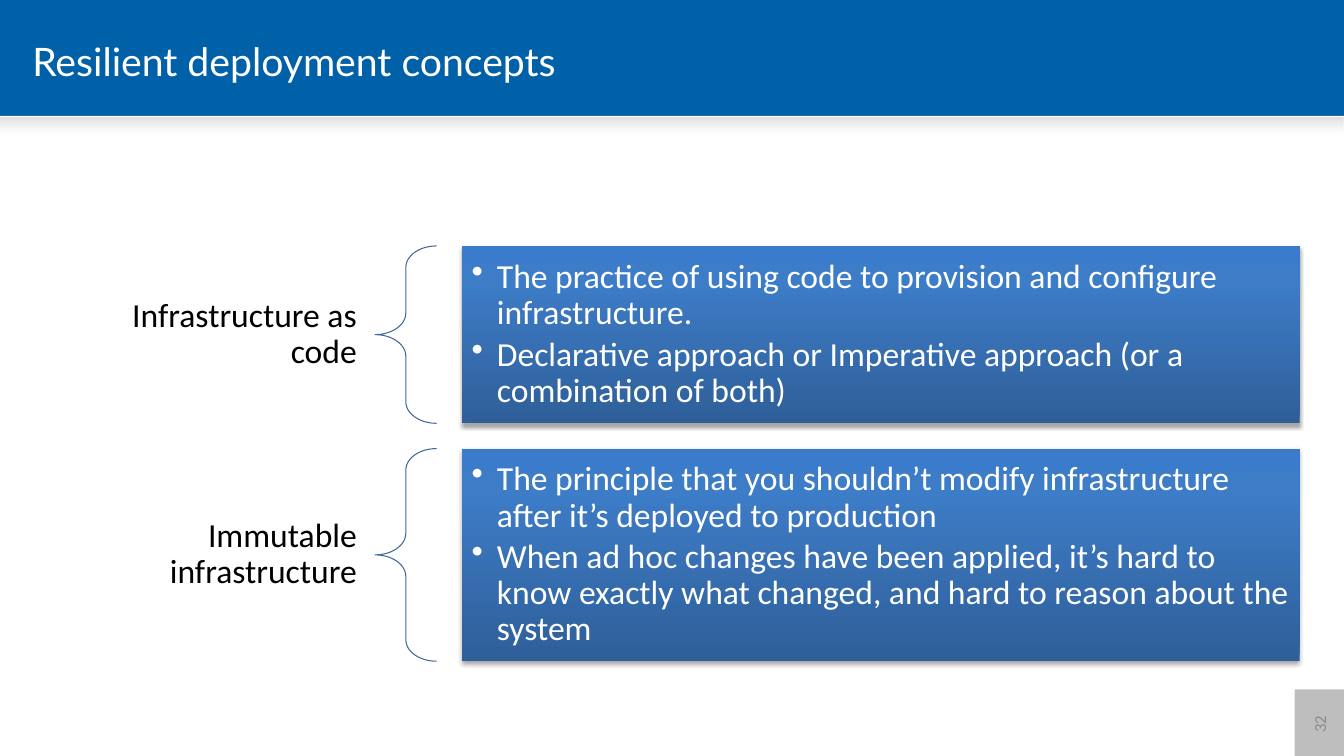
import pptx
import pptx.util
import pptx.oxml
import pptx.oxml.ns
from pptx.dml.color import RGBColor
from pptx.enum.shapes import MSO_SHAPE
from pptx.enum.text import MSO_ANCHOR, PP_ALIGN
from pptx.util import Inches, Pt

BLUE = RGBColor(0x00, 0x60, 0xA8)
WHITE = RGBColor(0xFF, 0xFF, 0xFF)
BLACK = RGBColor(0x00, 0x00, 0x00)
GRAY = RGBColor(0x7F, 0x7F, 0x7F)
NUMBER_GRAY = RGBColor(0x8C, 0x8C, 0x8C)
BRACE_BLUE = RGBColor(0x3F, 0x67, 0x97)
# Gradient stops: position, colour, opacity (percent)
HEADER_SHADE = [(0, BLACK, 13), (48, RGBColor(0xE3, 0xE3, 0xE3), 0), (66, WHITE, 0)]
PANEL_SHADE = [(0, RGBColor(0x2F, 0x5F, 0x99), 100),
               (80, RGBColor(0x3D, 0x7C, 0xC7), 100),
               (100, RGBColor(0x3A, 0x7C, 0xCB), 100)]
NAMESPACE = pptx.oxml.ns.nsdecls("a")

BODY_FORMAT = {"name": "Calibri", "size": Pt(24)}
CONCEPTS = [
    ("Infrastructure as code", 1.76, [
        "The practice of using code to provision and configure infrastructure.",
        "Declarative approach or Imperative approach (or a combination of both)"]),
    ("Immutable infrastructure", 2.11, [
        "The principle that you shouldn’t modify infrastructure after it’s deployed to production",
        "When ad hoc changes have been applied, it’s hard to know exactly what changed, "
        "and hard to reason about the system"]),
]


def set_format(target, values):
    for name, value in values.items():
        setattr(target, name, value)


def set_font(paragraph, color, values):
    set_format(paragraph.font, values)
    paragraph.font.color.rgb = color


def set_frame(text_frame, horizontal, vertical):
    set_format(text_frame, {
        "word_wrap": True, "vertical_anchor": MSO_ANCHOR.MIDDLE,
        "margin_left": Inches(horizontal), "margin_right": Inches(horizontal),
        "margin_top": Inches(vertical), "margin_bottom": Inches(vertical)})


def add_plain_shape(slide, kind, left, top, width, height, color=None):
    shape = slide.shapes.add_shape(
        kind, Inches(left), Inches(top), Inches(width), Inches(height))
    shape.shadow.inherit = False
    shape.line.fill.background()
    if color is None:
        shape.fill.background()
    else:
        shape.fill.solid()
        shape.fill.fore_color.rgb = color
    return shape


def set_gradient(shape, stops, angle):
    stop_xml = "".join(
        f'<a:gs pos="{position * 1000}"><a:srgbClr val="{color}">'
        f'<a:alpha val="{opacity * 1000}"/></a:srgbClr></a:gs>'
        for position, color, opacity in stops)
    gradient = pptx.oxml.parse_xml(
        f'<a:gradFill {NAMESPACE} rotWithShape="1"><a:gsLst>{stop_xml}</a:gsLst>'
        f'<a:lin ang="{angle * 60000}" scaled="0"/></a:gradFill>')
    properties = shape.element.spPr
    properties.replace(properties.find(pptx.oxml.ns.qn("a:noFill")), gradient)


def add_shadow(shape):
    effects = shape.element.spPr.find(pptx.oxml.ns.qn("a:effectLst"))
    effects.append(pptx.oxml.parse_xml(
        f'<a:outerShdw {NAMESPACE} blurRad="{Pt(3.1)}" dist="{Pt(1.8)}" dir="5400000" '
        'rotWithShape="0"><a:srgbClr val="000000"><a:alpha val="35000"/></a:srgbClr>'
        '</a:outerShdw>'))


def add_background(slide, width, height):
    slide.background.fill.solid()
    slide.background.fill.fore_color.rgb = BLUE
    top = 1.15
    add_plain_shape(slide, MSO_SHAPE.RECTANGLE, 0, top, width, height - top, WHITE)
    shade = add_plain_shape(slide, MSO_SHAPE.RECTANGLE, 0, top + 0.02, width, 0.42)
    set_gradient(shade, HEADER_SHADE, 90)


def add_page_number(slide, left, top, width, height):
    box = add_plain_shape(slide, MSO_SHAPE.RECTANGLE, left, top, width, height, GRAY)
    box.rotation = 270
    color = box.element.spPr.find(".//" + pptx.oxml.ns.qn("a:srgbClr"))
    color.append(pptx.oxml.parse_xml(f'<a:alpha {NAMESPACE} val="50000"/>'))
    set_frame(box.text_frame, 0.1, 0.05)
    paragraph = box.text_frame.paragraphs[0]
    paragraph.text = "32"
    paragraph.alignment = PP_ALIGN.CENTER
    set_font(paragraph, NUMBER_GRAY, {"name": "Calibri", "size": Pt(12)})


def add_title(slide, left, top, width, height):
    title = slide.shapes.title
    set_format(title, {"left": Inches(left), "top": Inches(top),
                       "width": Inches(width), "height": Inches(height)})
    set_frame(title.text_frame, 0.1, 0.05)
    paragraph = title.text_frame.paragraphs[0]
    paragraph.text = "Resilient deployment concepts"
    paragraph.alignment = PP_ALIGN.LEFT
    set_font(paragraph, WHITE, {"name": "Lato", "size": Pt(28)})


def add_concept(slide, label, bullets, left, top, height):
    # Label, centred on the row
    label_height = 1.41
    label_box = slide.shapes.add_textbox(
        Inches(left), Inches(top + (height - label_height) / 2),
        Inches(3.06), Inches(label_height))
    set_frame(label_box.text_frame, 0.19, 0.07)
    paragraph = label_box.text_frame.paragraphs[0]
    paragraph.text = label
    set_format(paragraph, {"alignment": PP_ALIGN.RIGHT, "line_spacing": 0.9,
                           "space_after": Pt(8.4)})
    set_font(paragraph, BLACK, BODY_FORMAT)

    # Brace
    brace = add_plain_shape(slide, MSO_SHAPE.LEFT_BRACE, left + 3.05, top, 0.61, height)
    brace.adjustments[0] = 0.35
    brace.adjustments[1] = 0.5
    brace.line.color.rgb = BRACE_BLUE
    brace.line.width = Pt(0.75)

    # Panel with bullets
    panel = add_plain_shape(slide, MSO_SHAPE.RECTANGLE, left + 3.91, top, 8.31, height)
    set_gradient(panel, PANEL_SHADE, 270)
    add_shadow(panel)
    text_frame = panel.text_frame
    set_frame(text_frame, 0.1, 0.1)
    text_frame.text = "\n".join(bullets)
    for paragraph in text_frame.paragraphs:
        properties = paragraph._p.get_or_add_pPr()
        properties.set("marL", str(Inches(0.25)))
        properties.set("indent", str(-Inches(0.25)))
        properties.append(pptx.oxml.parse_xml(f'<a:buChar {NAMESPACE} char="•"/>'))
        set_format(paragraph, {"level": 1, "alignment": PP_ALIGN.LEFT,
                               "line_spacing": 0.9, "space_after": Pt(3.6)})
        set_font(paragraph, WHITE, BODY_FORMAT)


def main():
    presentation = pptx.Presentation()
    presentation.slide_width = Inches(13.33)
    presentation.slide_height = Inches(7.5)
    slide = presentation.slides.add_slide(presentation.slide_layouts[5])

    add_background(slide, 13.33, 7.5)
    add_page_number(slide, 12.74, 6.94, 0.69, 0.49)
    add_title(slide, 0.22, 0.17, 11.35, 0.87)

    top = 2.44
    for label, height, bullets in CONCEPTS:
        add_concept(slide, label, bullets, 0.67, top, height)
        top += height + 0.25

    presentation.save("out.pptx")


if __name__ == "__main__":
    main()
